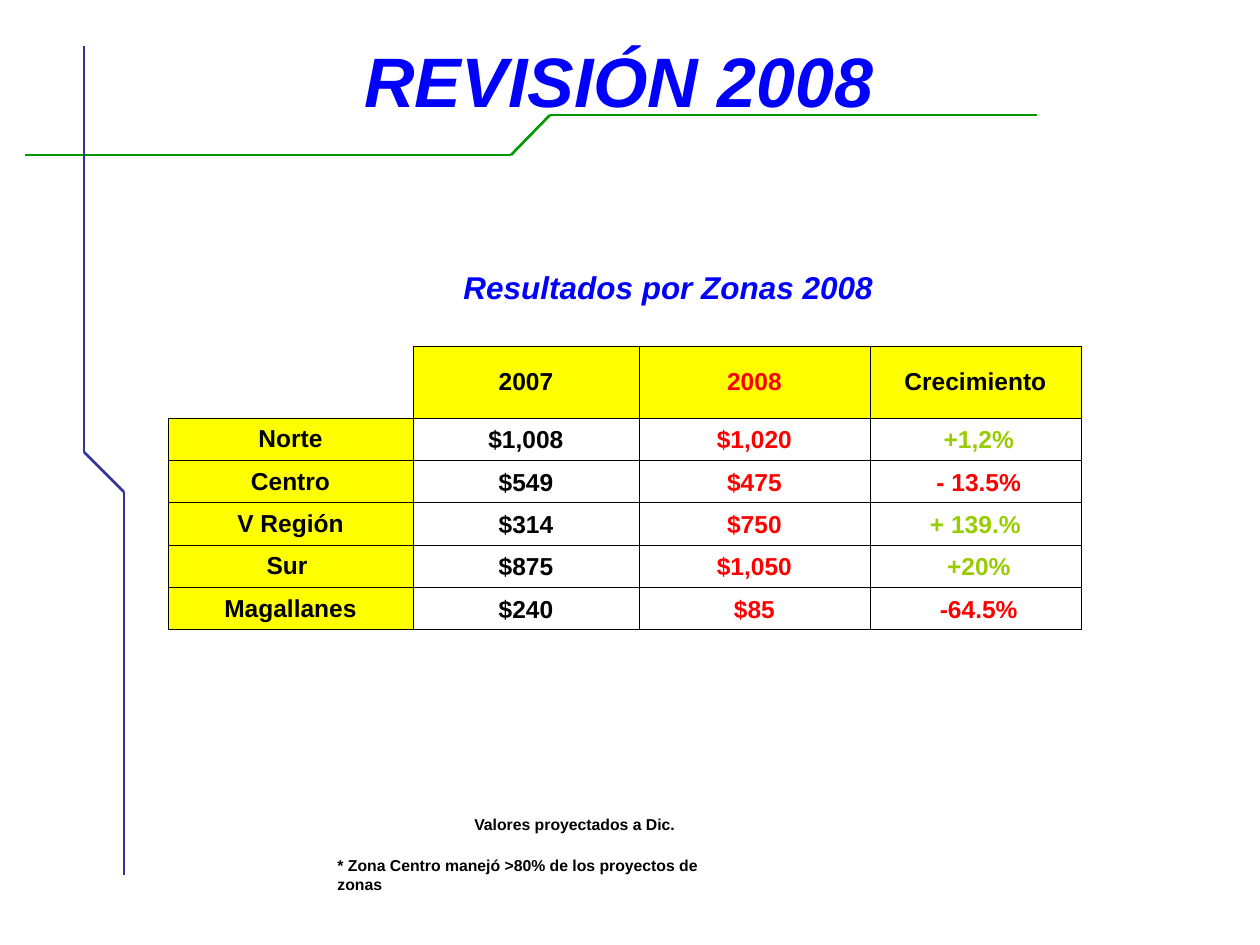
from lxml.etree import SubElement
from pptx import Presentation
from pptx.dml.color import RGBColor
from pptx.enum.shapes import MSO_CONNECTOR
from pptx.enum.text import MSO_ANCHOR, MSO_AUTO_SIZE, PP_ALIGN
from pptx.oxml.ns import qn
from pptx.util import Pt

COLORS = {
    "black": "000000", "blue": "0000FF", "red": "FF0000", "lime": "99CC00",
    "yellow": "FFFF00", "green": "009900", "indigo": "333399",
}
FONT = "Arial"
TITLE = "REVISIÓN 2008"

# Bent lines: colour and the points they pass through
BENT_LINES = [
    ("green", [(25, 155), (511, 155), (550, 115), (1037, 115)]),
    ("indigo", [(84, 46), (84, 452), (124, 492), (124, 875)]),
]

# Text, box (left, top, width, height), size, colour, italic
LABELS = [
    ("* Zona Centro manejó >80% de los proyectos de zonas",
     (325, 850, 433, 32), 9, "black", False),
    ("Valores proyectados a Dic.", (462, 809, 227, 32), 9, "black", False),
    ("Resultados por Zonas 2008", (451, 262, 435, 50), 18, "blue", True),
]

ZONES = [
    ("", "2007", "2008", "Crecimiento"),
    ("Norte", "$1,008", "$1,020", " +1,2%"),
    ("Centro", "$549", "$475", " - 13.5%"),
    ("V Región", "$314", "$750", "+ 139.%"),
    ("Sur ", "$875", "$1,050", " +20%"),
    ("Magallanes", "$240", "$85", " -64.5%"),
]
TABLE_LEFT, TABLE_TOP = 168, 346
COL_WIDTHS = [245, 226, 231, 211]
HEADER_HEIGHT, BODY_HEIGHT = 72, 212


def px(n):
    return round(n * 914400 / 126)


def rgb(name):
    return RGBColor.from_string(COLORS[name])


def style(p, size, color, italic=False):
    f = p.font
    f.name, f.size, f.bold, f.italic = FONT, Pt(size), True, italic
    f.color.rgb = rgb(color)


def add_bent_line(s, color, points):
    for start, end in zip(points, points[1:]):
        line = s.shapes.add_connector(
            MSO_CONNECTOR.STRAIGHT, *map(px, start + end))
        line.line.color.rgb = rgb(color)
        line.line.width = Pt(1.5)
        SubElement(line._element.spPr, qn("a:effectLst"))


def add_label(s, text, box, size, color, italic):
    tf = s.shapes.add_textbox(*map(px, box)).text_frame
    tf.word_wrap = False
    tf.auto_size = MSO_AUTO_SIZE.SHAPE_TO_FIT_TEXT
    tf.text = text
    style(tf.paragraphs[0], size, color, italic)


def set_borders(cell, sides):
    """Draw thin black borders on the given sides, a string of L, R, T, B."""
    tc_pr = cell._tc.get_or_add_tcPr()
    for side in "LRTB":
        ln = SubElement(tc_pr, qn(f"a:ln{side}"), w=str(Pt(0.45)))
        if side in sides:
            fill = SubElement(ln, qn("a:solidFill"))
            SubElement(fill, qn("a:srgbClr"), val=COLORS["black"])
        else:
            SubElement(ln, qn("a:noFill"))


def cell_color(row, col, text):
    if col == 3 and row > 0:
        return "red" if "-" in text else "lime"
    return "red" if col == 2 else "black"


def format_cell(cell, row, col, text):
    corner = row == col == 0
    heading = (row == 0 or col == 0) and not corner
    set_borders(cell, "RB" if corner else "LRTB")
    if heading:
        cell.fill.solid()
        cell.fill.fore_color.rgb = rgb("yellow")
    else:
        cell.fill.background()
    cell.vertical_anchor = MSO_ANCHOR.MIDDLE if heading else MSO_ANCHOR.BOTTOM
    cell.text = text
    p = cell.text_frame.paragraphs[0]
    p.alignment = PP_ALIGN.CENTER
    style(p, 14, cell_color(row, col, text))


def add_zone_table(s):
    table = s.shapes.add_table(
        len(ZONES), len(COL_WIDTHS), px(TABLE_LEFT), px(TABLE_TOP),
        px(sum(COL_WIDTHS)), px(HEADER_HEIGHT + BODY_HEIGHT)).table
    table.first_row = table.horz_banding = False
    for column, width in zip(table.columns, COL_WIDTHS):
        column.width = px(width)
    for r, values in enumerate(ZONES):
        table.rows[r].height = px(
            BODY_HEIGHT / (len(ZONES) - 1) if r else HEADER_HEIGHT)
        for c, text in enumerate(values):
            format_cell(table.cell(r, c), r, c, text)


def add_title(s):
    title = s.shapes.title
    title.left, title.top, title.width, title.height = map(
        px, (262, 0, 714, 158))
    tf = title.text_frame
    tf.text = TITLE
    tf.vertical_anchor = MSO_ANCHOR.MIDDLE
    p = tf.paragraphs[0]
    p.alignment = PP_ALIGN.CENTER
    style(p, 40, "blue", italic=True)


def main():
    prs = Presentation()
    prs.slide_width, prs.slide_height = px(1260), px(945)
    s = prs.slides.add_slide(prs.slide_layouts[5])
    for color, points in BENT_LINES:
        add_bent_line(s, color, points)
    add_title(s)
    add_zone_table(s)
    for label in LABELS:
        add_label(s, *label)
    prs.save("out.pptx")


if __name__ == "__main__":
    main()
